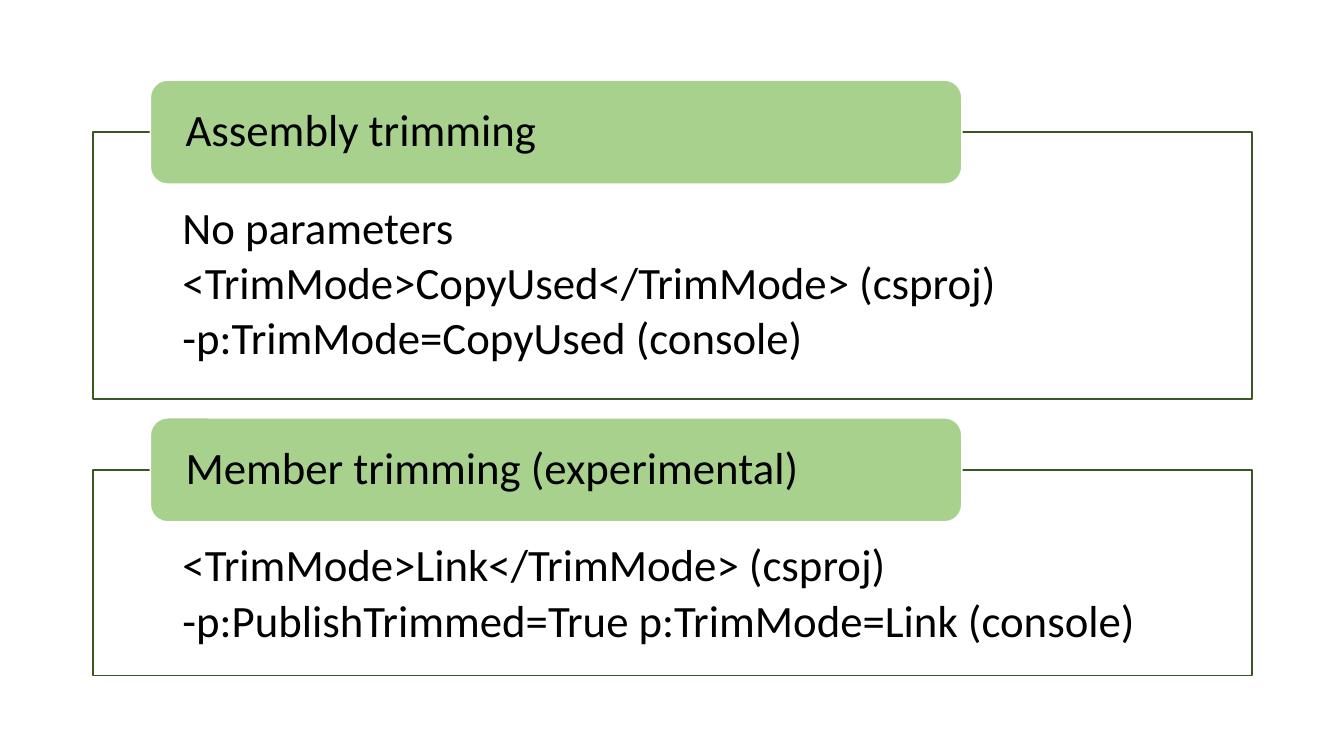
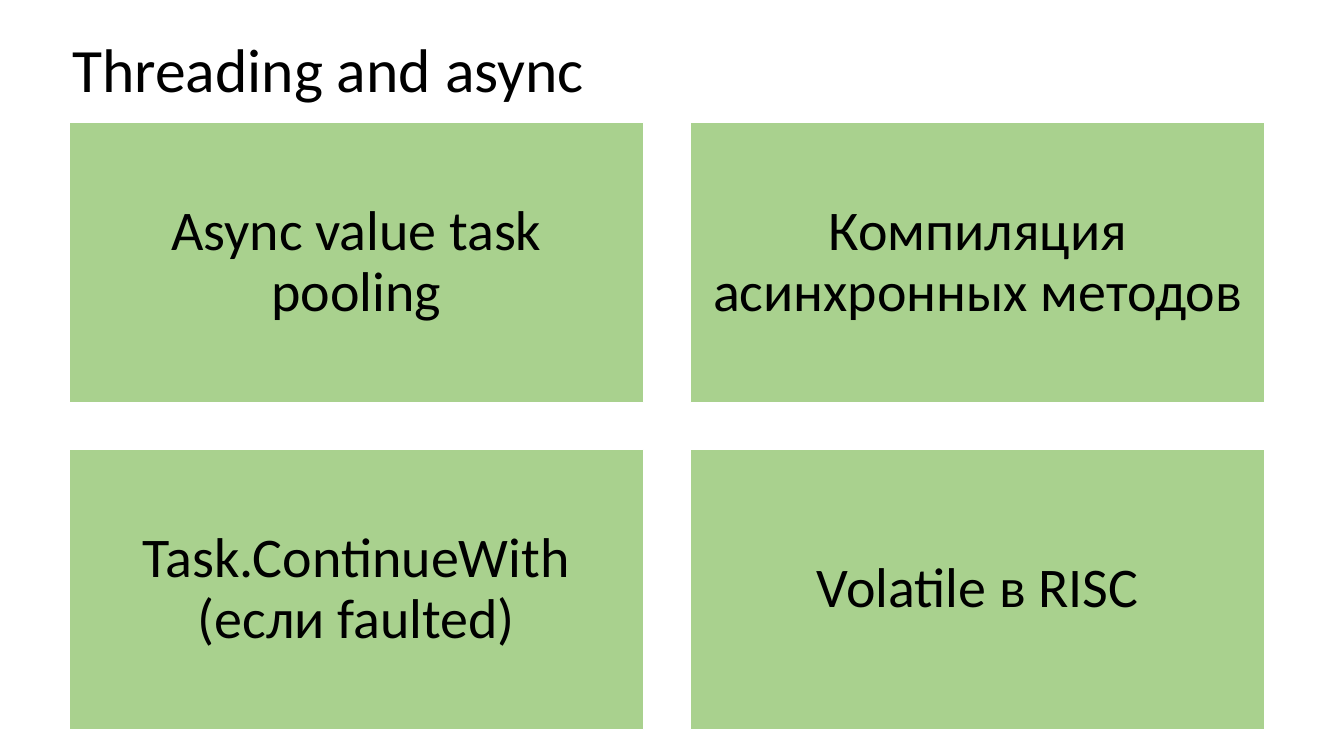
from dataclasses import dataclass

from pptx import Presentation, util as u
from pptx.dml.color import RGBColor
from pptx.enum import shapes, text


# Colours and type shared by both slides
@dataclass(frozen=True)
class Theme:
    green: RGBColor = RGBColor(0xA9, 0xD1, 0x8E)
    dark_green: RGBColor = RGBColor(0x38, 0x57, 0x23)
    white: RGBColor = RGBColor(0xFF, 0xFF, 0xFF)
    ink: RGBColor = RGBColor(0, 0, 0)
    font: str = "Calibri"
    title_size: int = 44
    tile_size: int = 40
    body_size: int = 32
    line_width: int = 1
    line_spacing: float = 0.9
    body_gap: float = 4.8


THEME = Theme()
BLANK_LAYOUT = 6

# Trimming modes: frame top and height in cm, heading, lines
TRIMMING_MODES = [
    (3.33, 6.73, "Assembly trimming",
     ["No parameters",
      "<TrimMode>CopyUsed</TrimMode> (csproj)",
      "-p:TrimMode=CopyUsed (console)"]),
    (11.84, 5.18, "Member trimming (experimental)",
     ["<TrimMode>Link</TrimMode> (csproj)",
      "-p:PublishTrimmed=True p:TrimMode=Link (console)"]),
]

THREADING_TOPICS = [
    "Async value task pooling",
    "Компиляция асинхронных методов",
    "Task.ContinueWith (если faulted)",
    "Volatile в RISC",
]


def apply_format(target, values):
    for name, value in values.items():
        setattr(target, name, value)


def write_lines(holder, lines, size, margins, align=text.PP_ALIGN.LEFT,
                anchor=text.MSO_ANCHOR.MIDDLE, gap=0):
    """Fill a shape with paragraphs; margins are left, top, right, bottom in cm."""
    frame = holder.text_frame
    left, top, right, bottom = map(u.Cm, margins)
    apply_format(frame, {
        "word_wrap": True, "vertical_anchor": anchor,
        "margin_left": left, "margin_top": top,
        "margin_right": right, "margin_bottom": bottom,
    })
    frame.text = "\n".join(lines)
    for paragraph in frame.paragraphs:
        apply_format(paragraph, {
            "alignment": align, "line_spacing": THEME.line_spacing,
            "space_after": u.Pt(gap),
        })
        apply_format(paragraph.font, {"name": THEME.font, "size": u.Pt(size)})
        paragraph.font.color.rgb = THEME.ink


def add_box(slide, kind, box, fill, line):
    shape = slide.shapes.add_shape(kind, *map(u.Cm, box))
    shape.shadow.inherit = False
    shape.fill.solid()
    shape.fill.fore_color.rgb = fill
    shape.line.color.rgb = line
    shape.line.width = u.Pt(THEME.line_width)
    return shape


def add_title(slide, title):
    title_box = slide.shapes.add_textbox(*map(u.Cm, (1.57, 0, 29.21, 3.68)))
    write_lines(title_box, [title], THEME.title_size, (0.25, 0.13, 0.25, 0.13))


def add_mode(slide, top, height, heading, lines):
    """Outlined frame with a heading tab centred on its top edge."""
    frame_left, frame_width = 2.34, 29.21
    tab_left, tab_width, tab_height = 3.79, 20.45, 2.62
    frame = add_box(slide, shapes.MSO_SHAPE.RECTANGLE,
                    (frame_left, top, frame_width, height),
                    THEME.white, THEME.dark_green)
    write_lines(frame, lines, THEME.body_size, (2.26, 1.85, 2.26, 0.64),
                anchor=text.MSO_ANCHOR.TOP, gap=THEME.body_gap)
    tab = add_box(slide, shapes.MSO_SHAPE.ROUNDED_RECTANGLE,
                  (tab_left, top - tab_height / 2, tab_width, tab_height),
                  THEME.green, THEME.white)
    write_lines(tab, [heading], THEME.body_size, (0.76, 0, 0.76, 0))


def add_topic_grid(slide, topics, columns=2):
    left, top, width, height, gap = 1.74, 3.09, 14.48, 7.06, 1.18
    for index, topic in enumerate(topics):
        row, column = divmod(index, columns)
        tile = add_box(slide, shapes.MSO_SHAPE.RECTANGLE,
                       (left + column * (width + gap),
                        top + row * (height + gap), width, height),
                       THEME.green, THEME.white)
        write_lines(tile, [topic], THEME.tile_size, (0.43,) * 4,
                    align=text.PP_ALIGN.CENTER)


def main():
    deck = Presentation()
    apply_format(deck, {"slide_width": u.Cm(33.87), "slide_height": u.Cm(19.05)})
    blank = deck.slide_layouts[BLANK_LAYOUT]

    # Trimming modes
    trimming = deck.slides.add_slide(blank)
    for mode in TRIMMING_MODES:
        add_mode(trimming, *mode)

    # Threading and async
    threading = deck.slides.add_slide(blank)
    add_title(threading, "Threading and async")
    add_topic_grid(threading, THREADING_TOPICS)

    deck.save("out.pptx")


if __name__ == "__main__":
    main()
